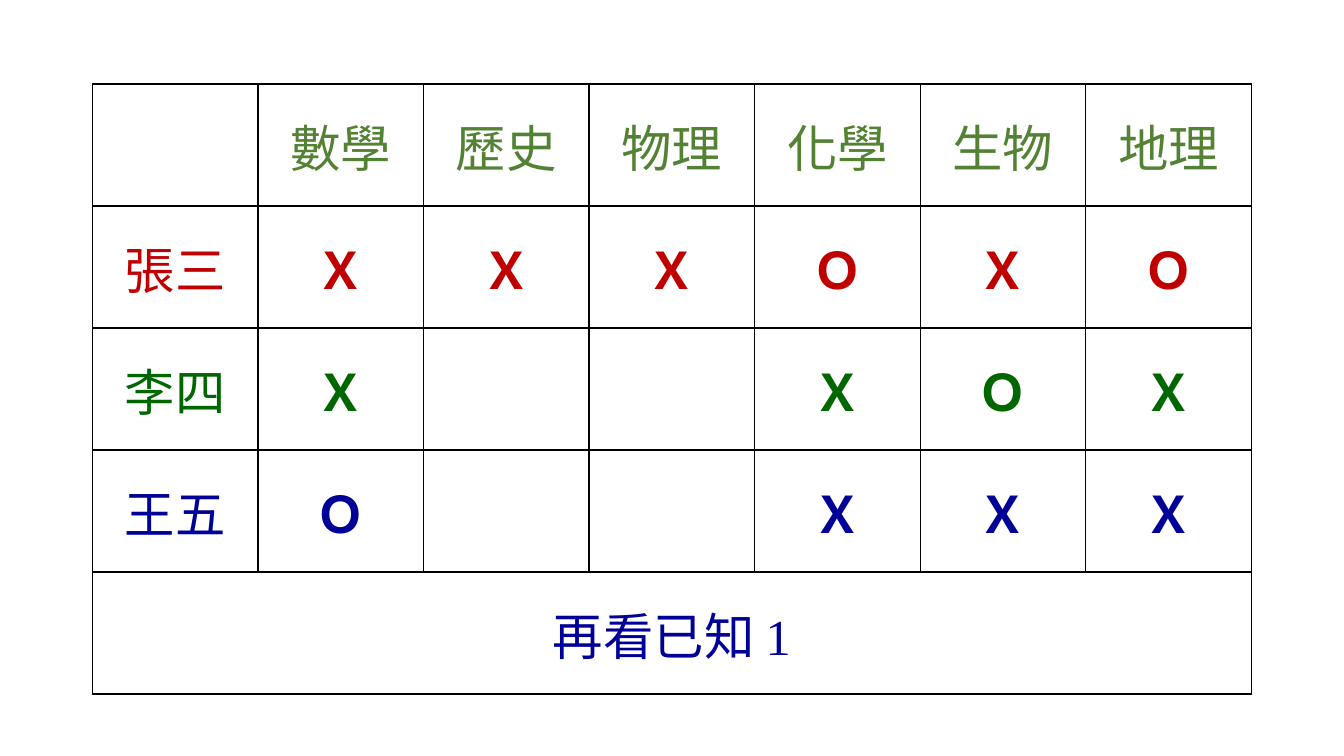
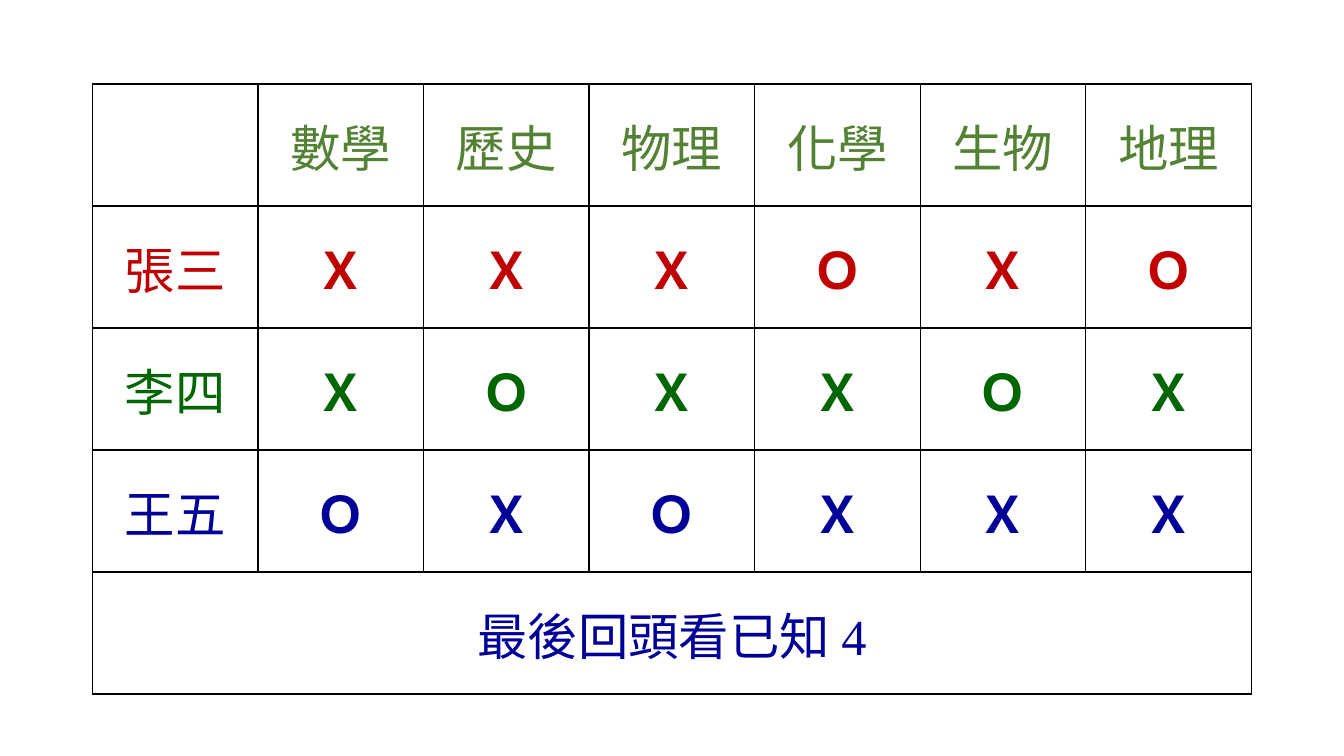
from dataclasses import dataclass

from lxml.etree import SubElement
from pptx import Presentation
from pptx.dml.color import RGBColor as Rgb
from pptx.enum.lang import MSO_LANGUAGE_ID as Lang
from pptx.enum.text import MSO_ANCHOR as Anchor, PP_ALIGN as Align
from pptx.oxml import parse_xml
from pptx.oxml.ns import nsdecls, qn
from pptx.util import Pt

HEADS = ["", "數學", "歷史", "物理", "化學", "生物", "地理"]
NAMES = ["張三", "李四", "王五"]
SLIDES = [
    {
        "marks": ["ＸＸＸＯＸＯ", "Ｘ  ＸＯＸ", "Ｏ  ＸＸＸ"],
        "note": ("再看已", "知 1"),
    },
    {
        "marks": ["ＸＸＸＯＸＯ", "ＸＯＸＸＯＸ", "ＯＸＯＸＸＸ"],
        "note": ("最後回頭看已", "知 4"),
    },
]

PX = 9525
SIZE = (1280, 720)
GRID = (88, 80, 1104, 581)


@dataclass(frozen=True)
class Theme:
    head: str = "548235"
    rows: tuple = ("C00000", "006600", "000099")
    note: str = "000099"
    line: str = "000000"
    sans: str = "Lato"
    serif: str = "Times New Roman"
    size: int = 36
    rule: int = 1


THEME = Theme()


def put(cell, text, color, font=THEME.sans, bold=False):
    """Append one centred run to the cell; blank text leaves it empty."""
    if not text.strip():
        return
    para = cell.text_frame.paragraphs[0]
    para.alignment = Align.CENTER
    run = para.add_run()
    run.text = text
    face = run.font
    face.name, face.size, face.bold = font, Pt(THEME.size), bold
    face.color.rgb = Rgb.from_string(color)
    face.language_id = Lang.TRADITIONAL_CHINESE


def frame(cell):
    """Clear the cell's fill, centre it vertically and rule all four sides."""
    cell.fill.background()
    cell.vertical_anchor = Anchor.MIDDLE
    props = cell._tc.get_or_add_tcPr()
    for spot, side in enumerate("LRTB"):
        line = parse_xml(f'<a:ln{side} {nsdecls("a")} w="{Pt(THEME.rule)}"/>')
        fill = SubElement(line, qn("a:solidFill"))
        SubElement(fill, qn("a:srgbClr"), val=THEME.line)
        props.insert(spot, line)


def add_grid(slide, marks, note):
    count, last = len(HEADS), len(NAMES) + 1
    left, top, width, height = (n * PX for n in GRID)
    table = slide.shapes.add_table(
        last + 1, count, left, top, width, height).table
    table.first_row = table.horz_banding = False
    for col in table.columns:
        col.width = width // count
    for row in table.rows:
        row.height = height // (last + 1)
    for cell in table.iter_cells():
        frame(cell)

    for col, head in enumerate(HEADS):
        put(table.cell(0, col), head, THEME.head)
    for row, (name, line, color) in enumerate(
            zip(NAMES, marks, THEME.rows), 1):
        put(table.cell(row, 0), name, color)
        for col, mark in enumerate(line, 1):
            put(table.cell(row, col), mark, color, bold=True)

    foot = table.cell(last, 0)
    foot.merge(table.cell(last, count - 1))
    for text, font in zip(note, (THEME.sans, THEME.serif)):
        put(foot, text, THEME.note, font=font)


def main():
    deck = Presentation()
    deck.slide_width, deck.slide_height = (n * PX for n in SIZE)
    blank = deck.slide_layouts[6]
    for data in SLIDES:
        add_grid(deck.slides.add_slide(blank), **data)
    deck.save("out.pptx")


if __name__ == "__main__":
    main()
